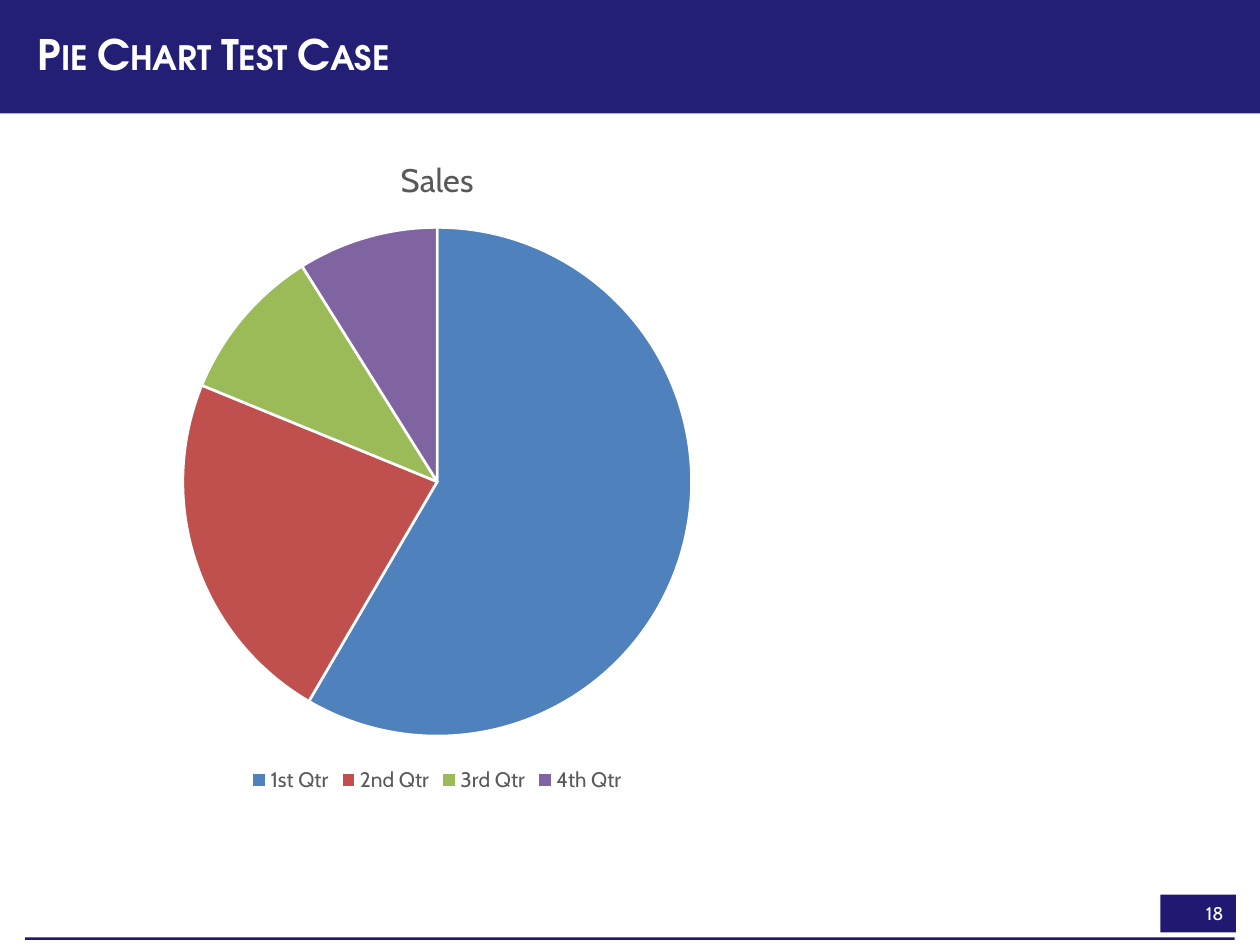
"""Build a slide with a titled pie chart of quarterly sales."""
from dataclasses import dataclass

from pptx import Presentation
from pptx import util as u
from pptx.chart import data
from pptx.dml.color import RGBColor
from pptx.enum import chart as charts, shapes, text


@dataclass(frozen=True)
class Theme:
    heading_font: str = "TeX Gyre Adventor"
    body_font: str = "Cabin"
    band: str = "231F74"
    badge: str = "211971"
    rule: str = "20186F"
    white: str = "FFFFFF"
    grey: str = "595959"
    slices: tuple = ("4F81BD", "C0504D", "9BBB59", "8064A2")
    title_size: float = 24
    number_size: float = 10.5
    chart_size: float = 10
    chart_title_size: float = 18.6
    legend_size: float = 12
    slice_border: float = 1.5


class SlideBuilder:
    def __init__(self, page, theme):
        self.page = page
        self.theme = theme

    def style_font(self, font, name, size, color, bold=False):
        font.name = name
        font.size = u.Pt(size)
        font.bold = bold
        font.color.rgb = RGBColor.from_string(color)

    def bar(self, left, top, width, height, color):
        box = self.page.shapes.add_shape(
            shapes.MSO_SHAPE.RECTANGLE,
            *map(u.Inches, (left, top, width, height)))
        box.shadow.inherit = False
        box.fill.solid()
        box.fill.fore_color.rgb = RGBColor.from_string(color)
        box.line.fill.background()
        return box

    def page_number(self, number, *place):
        frame = self.bar(*place, self.theme.badge).text_frame
        frame.vertical_anchor = text.MSO_ANCHOR.MIDDLE
        para = frame.paragraphs[0]
        para.text = number
        para.alignment = text.PP_ALIGN.RIGHT
        self.style_font(para.font, self.theme.body_font,
                        self.theme.number_size, self.theme.white)

    def title(self, wording, *place):
        box = self.page.shapes.add_textbox(*map(u.Inches, place))
        frame = box.text_frame
        frame.word_wrap = True
        frame.vertical_anchor = text.MSO_ANCHOR.MIDDLE
        para = frame.paragraphs[0]
        para.line_spacing = 0.9
        self.style_font(para.font, self.theme.heading_font,
                        self.theme.title_size, self.theme.white, bold=True)
        span = para.add_run()
        span.text = wording
        span._r.get_or_add_rPr().set("cap", "small")

    def pie(self, name, shares, *place):
        theme = self.theme
        content = data.CategoryChartData()
        content.categories = list(shares)
        content.add_series(name, list(shares.values()))
        chart = self.page.shapes.add_chart(
            charts.XL_CHART_TYPE.PIE, *map(u.Inches, place), content).chart
        self.style_font(chart.font, theme.body_font, theme.chart_size, "000000")

        chart.has_title = True
        para = chart.chart_title.text_frame.paragraphs[0]
        para.text = name
        self.style_font(para.font, theme.body_font,
                        theme.chart_title_size, theme.grey)
        chart.chart_title.include_in_layout = False

        chart.has_legend = True
        chart.legend.position = charts.XL_LEGEND_POSITION.BOTTOM
        chart.legend.include_in_layout = False
        self.style_font(chart.legend.font, theme.body_font,
                        theme.legend_size, theme.grey)

        plot = chart.plots[0]
        plot.vary_by_categories = True
        for index, color in enumerate(theme.slices):
            style = plot.series[0].points[index].format
            style.fill.solid()
            style.fill.fore_color.rgb = RGBColor.from_string(color)
            style.line.color.rgb = RGBColor.from_string(theme.white)
            style.line.width = u.Pt(theme.slice_border)


def main():
    deck = Presentation()
    deck.slide_width, deck.slide_height = u.Inches(10), u.Inches(7.5)
    theme = Theme()
    builder = SlideBuilder(deck.slides.add_slide(deck.slide_layouts[6]), theme)
    builder.page_number("18", 9.21, 7.1, 0.6, 0.3)
    builder.bar(0.2, 7.44, 9.6, 0.02, theme.rule)
    builder.bar(0, 0, 10, 0.9, theme.band)
    builder.title("Pie Chart Test Case", 0.2, 0.1, 9.6, 0.7)
    sales = {"1st Qtr": 59, "2nd Qtr": 23, "3rd Qtr": 10, "4th Qtr": 9}
    builder.pie("Sales", sales, 0.39, 1.04, 6.16, 5.29)
    deck.save("out.pptx")


if __name__ == "__main__":
    main()
